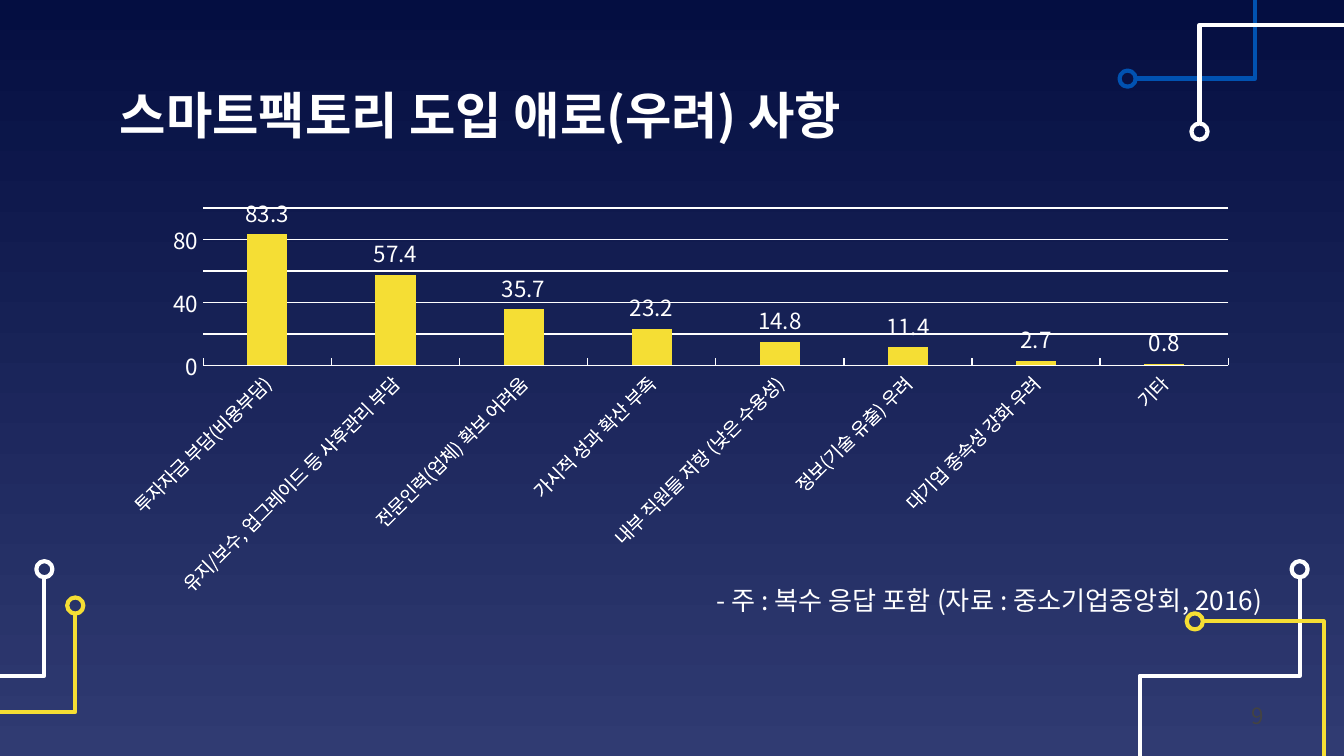
from dataclasses import dataclass
from math import hypot

from lxml.etree import SubElement
from pptx import Presentation
from pptx.chart.data import CategoryChartData
from pptx.dml.color import RGBColor
from pptx.enum.chart import XL_CHART_TYPE, XL_LABEL_POSITION, XL_TICK_MARK
from pptx.enum.shapes import MSO_SHAPE
from pptx.enum.text import MSO_ANCHOR, PP_ALIGN
from pptx.oxml.ns import qn
from pptx.util import Inches, Pt

WIDTH = Inches(10)
HEIGHT = WIDTH * 9 // 16


@dataclass(frozen=True)
class Theme:
    font: str = "Noto Sans CJK KR"
    top: str = "040E41"
    bottom: str = "303B72"
    white: str = "FFFFFF"
    blue: str = "0152B1"
    yellow: str = "F5DE34"
    grey: str = "434343"
    title_size: int = 27
    note_size: int = 14
    value_size: int = 12
    category_size: int = 10
    number_size: int = 12
    trace_width: float = 2.25
    axis_width: float = 0.75


THEME = Theme()
DOT_RADIUS = Inches(0.06)

# Each trace starts at the centre of its dot; points are percent of the slide.
TRACES = [
    (THEME.white, [(96.7, 75.3), (96.7, 89.4), (84.8, 89.4), (84.8, 100)]),
    (THEME.blue, [(83.9, 10.4), (93.4, 10.4), (93.4, 0)]),
    (THEME.white, [(89.25, 17.4), (89.25, 3.3), (100, 3.3)]),
    (THEME.yellow, [(88.9, 82.2), (98.5, 82.2), (98.5, 100)]),
    (THEME.white, [(3.3, 75.3), (3.3, 89.4), (0, 89.4)]),
    (THEME.yellow, [(5.6, 80.1), (5.6, 94.2), (0, 94.2)]),
]

CONCERNS = {
    "투자자금 부담(비용부담)": 83.3,
    "유지/보수, 업그레이드 등 사후관리 부담": 57.4,
    "전문인력(업체) 확보 어려움": 35.7,
    "가시적 성과 확산 부족": 23.2,
    "내부 직원들 저항 (낮은 수용성)": 14.8,
    "정보(기술 유출) 우려": 11.4,
    "대기업 종속성 강화 우려": 2.7,
    "기타": 0.8,
}


def color(value):
    return RGBColor.from_string(value)


def place(x, y):
    """Turn percent of the slide into lengths."""
    return int(WIDTH * x / 100), int(HEIGHT * y / 100)


def style_font(font, size, value=THEME.white, bold=False):
    """Format a font, naming the typeface for Korean as well as Latin text."""
    font.size = Pt(size)
    font.bold = bold
    font.color.rgb = color(value)
    font.name = THEME.font
    SubElement(font._rPr, qn("a:ea")).set("typeface", THEME.font)


def style_line(line, value, width):
    line.color.rgb = color(value)
    line.width = Pt(width)


def fill_background(slide):
    fill = slide.background.fill
    fill.gradient()
    fill.gradient_angle = 270
    for stop, value, position in zip(fill.gradient_stops, (THEME.top, THEME.bottom), (0, 1)):
        stop.color.rgb = color(value)
        stop.position = position


def add_trace(slide, value, percents):
    """Draw a ring and the bent line that leaves its rim."""
    points = [place(*percent) for percent in percents]
    (x, y), (next_x, next_y) = points[:2]
    share = DOT_RADIUS / hypot(next_x - x, next_y - y)
    rim = (int(x + (next_x - x) * share), int(y + (next_y - y) * share))
    builder = slide.shapes.build_freeform(*rim)
    builder.add_line_segments(points[1:], close=False)
    ring = slide.shapes.add_shape(
        MSO_SHAPE.OVAL, x - DOT_RADIUS, y - DOT_RADIUS, 2 * DOT_RADIUS, 2 * DOT_RADIUS
    )
    for shape in (builder.convert_to_shape(), ring):
        shape.shadow.inherit = False
        shape.fill.background()
        style_line(shape.line, value, THEME.trace_width)


def write_text(shape, text, size, align, value=THEME.white, bold=False, spacing=1.0):
    frame = shape.text_frame
    frame.word_wrap = True
    frame.vertical_anchor = MSO_ANCHOR.MIDDLE
    frame.margin_left = frame.margin_right = Inches(0.1)
    frame.margin_top = frame.margin_bottom = Inches(0.1)
    paragraph = frame.paragraphs[0]
    paragraph.text = text
    paragraph.alignment = align
    paragraph.line_spacing = spacing
    style_font(paragraph.font, size, value, bold)


def add_title(slide, text):
    title = slide.shapes.title
    title.left, title.top = place(7.9, 10.5)
    title.width, title.height = place(84.3, 9.3)
    write_text(title, text, THEME.title_size, PP_ALIGN.LEFT, bold=True)


def add_text(slide, corner, size, *content, **options):
    box = slide.shapes.add_textbox(*place(*corner), *place(*size))
    write_text(box, *content, **options)


def style_axes(chart):
    categories, values = chart.category_axis, chart.value_axis
    categories.major_tick_mark = XL_TICK_MARK.INSIDE
    categories.has_major_gridlines = False
    style_line(categories.format.line, THEME.white, THEME.axis_width)
    style_font(categories.tick_labels.font, THEME.category_size)
    text_body = categories._element.find(qn("c:txPr"))
    text_body.find(qn("a:bodyPr")).set("rot", "-2700000")

    values.minimum_scale, values.maximum_scale, values.major_unit = 0, 100, 20
    values.major_tick_mark = XL_TICK_MARK.NONE
    values.format.line.fill.background()
    style_line(values.major_gridlines.format.line, THEME.white, THEME.axis_width)
    style_font(values.tick_labels.font, THEME.value_size)


def add_concern_chart(slide):
    data = CategoryChartData()
    data.categories = list(CONCERNS)
    data.add_series("Series 1", list(CONCERNS.values()))
    chart = slide.shapes.add_chart(
        XL_CHART_TYPE.COLUMN_CLUSTERED, *place(7.8, 25.9), *place(85.3, 54.1), data
    ).chart
    chart.has_title = chart.has_legend = False
    style_font(chart.font, THEME.category_size)
    style_axes(chart)

    plot = chart.plots[0]
    plot.gap_width, plot.overlap = 219, -27
    plot.vary_by_categories = False
    fill = plot.series[0].format.fill
    fill.solid()
    fill.fore_color.rgb = color(THEME.yellow)
    plot.has_data_labels = True
    labels = plot.data_labels
    labels.show_value = True
    labels.position = XL_LABEL_POSITION.OUTSIDE_END
    style_font(labels.font, THEME.value_size)


def main():
    presentation = Presentation()
    presentation.slide_width, presentation.slide_height = WIDTH, HEIGHT
    slide = presentation.slides.add_slide(presentation.slide_layouts[5])
    fill_background(slide)
    for value, percents in TRACES:
        add_trace(slide, value, percents)
    add_title(slide, "스마트팩토리 도입 애로(우려) 사항")
    add_text(slide, (7.8, 74.1), (87.1, 8.2), "- 주 : 복수 응답 포함 (자료 : 중소기업중앙회, 2016)",
             THEME.note_size, PP_ALIGN.RIGHT, spacing=1.6)
    add_concern_chart(slide)
    add_text(slide, (89, 90.7), (6, 8), "9", THEME.number_size, PP_ALIGN.RIGHT, value=THEME.grey)
    presentation.save("out.pptx")


if __name__ == "__main__":
    main()
